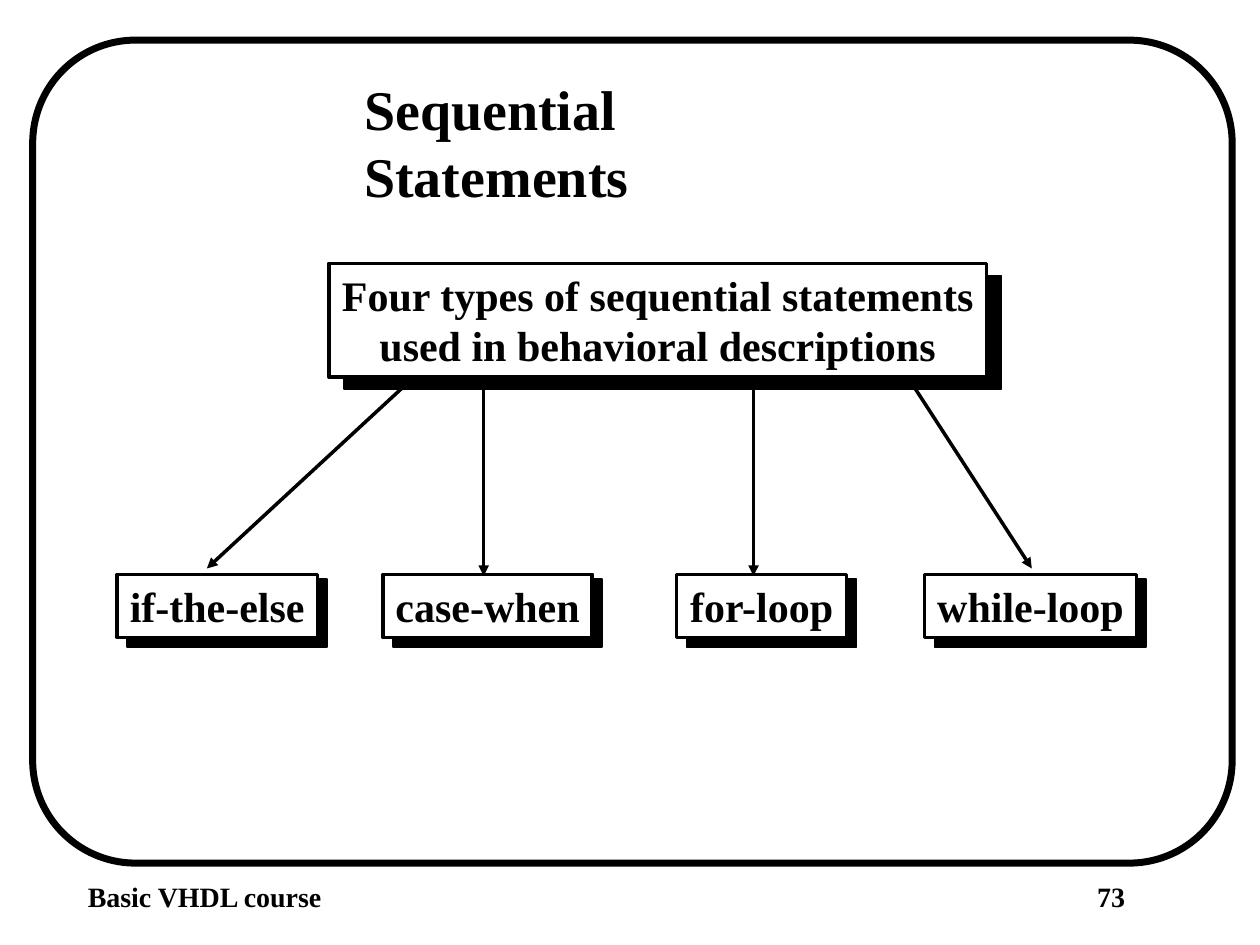
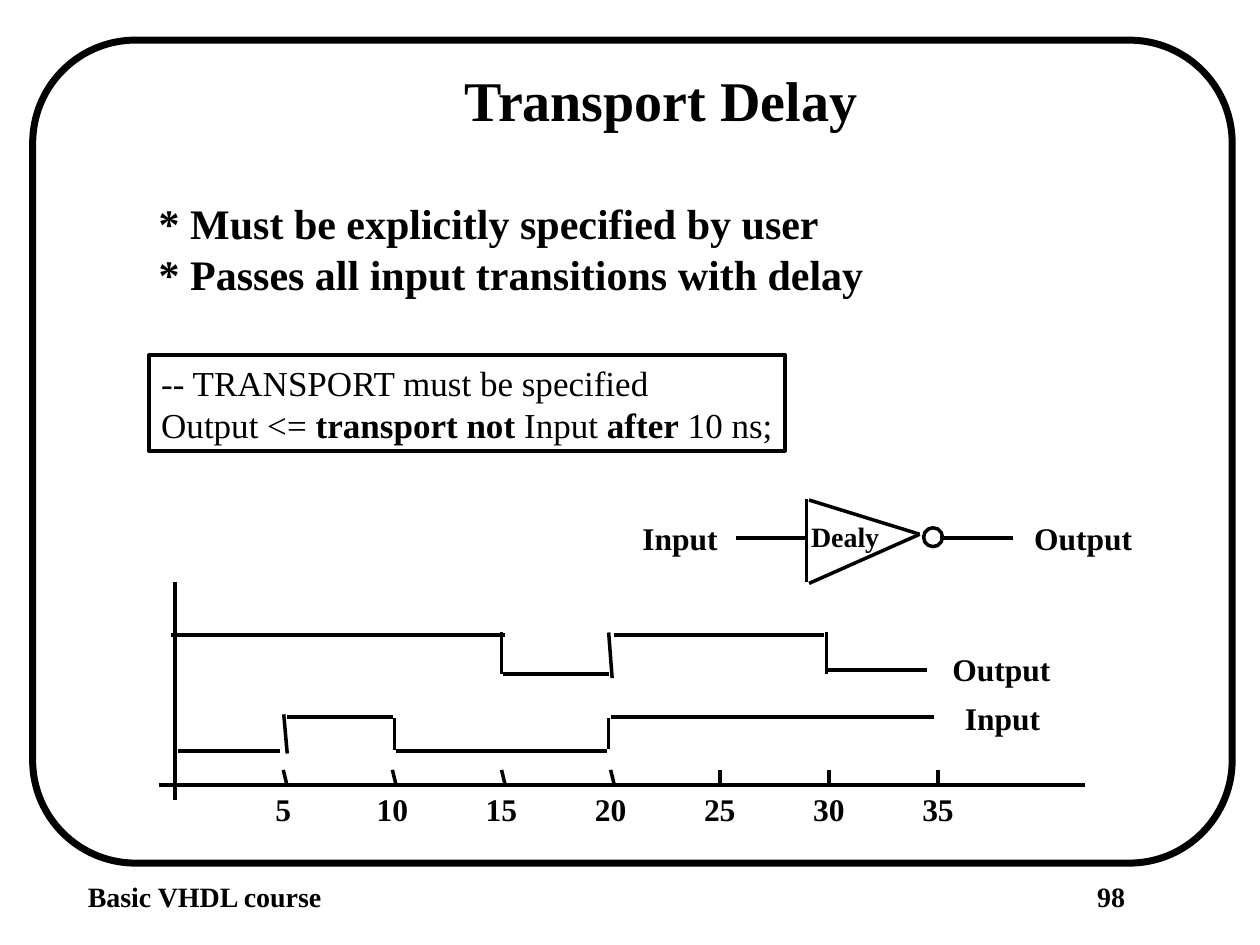
from lxml import etree
from pptx import Presentation
from pptx.dml.color import RGBColor
from pptx.enum.shapes import MSO_CONNECTOR as CONN, MSO_SHAPE as SHAPE
from pptx.enum.text import MSO_ANCHOR as ANCHOR, MSO_AUTO_SIZE as FIT, PP_ALIGN as ALIGN
from pptx.oxml.ns import qn
from pptx.util import Cm, Pt

BLACK, WHITE = "000000", "FFFFFF"
FONT = "Times New Roman"
LABEL_H = 1.02


def rgb(value):
    return RGBColor.from_string(value)


class Deck:
    """Shared style and the slide being drawn; all positions are in cm."""

    def __init__(self):
        self.prs = Presentation()
        self.prs.slide_width, self.prs.slide_height = Cm(25.4), Cm(19.05)
        self.s = None

    def new_slide(self, title, title_box, number):
        self.s = self.prs.slides.add_slide(self.prs.slide_layouts[6])
        frame = self.shape(SHAPE.ROUNDED_RECTANGLE, 0.66, 0.81, 24.18, 16.59, width=4)
        frame.adjustments[0] = 0.125
        self.text(number, 21.87, 17.6, 3.05, 0.91, size=16)
        self.text("Basic VHDL course", 1.52, 17.6, 5.26, 0.91, size=16)
        self.text(title, *title_box, size=32)

    def shape(self, kind, x, y, w, h, fill=None, width=2):
        sp = self.s.shapes.add_shape(kind, Cm(x), Cm(y), Cm(w), Cm(h))
        sp.shadow.inherit = False
        if fill:
            sp.fill.solid()
            sp.fill.fore_color.rgb = rgb(fill)
        else:
            sp.fill.background()
        sp.line.color.rgb = rgb(BLACK)
        sp.line.width = Pt(width)
        return sp

    def fill_text(self, sp, lines, size, bold=True, align=ALIGN.LEFT):
        """Each line is a string or a list of (text, bold) runs."""
        tf = sp.text_frame
        layout = {"word_wrap": False, "auto_size": FIT.SHAPE_TO_FIT_TEXT,
                  "vertical_anchor": ANCHOR.TOP}
        for name, value in layout.items():
            setattr(tf, name, value)
        for i, line in enumerate(lines):
            p = tf.add_paragraph() if i else tf.paragraphs[0]
            p.alignment = align
            runs = [(line, bold)] if isinstance(line, str) else line
            for text, strong in runs:
                r = p.add_run()
                r.text = text
                for name, value in {"name": FONT, "size": Pt(size), "bold": strong}.items():
                    setattr(r.font, name, value)
                r.font.color.rgb = rgb(BLACK)

    def text(self, text, x, y, w, h, size=18, align=ALIGN.LEFT):
        sp = self.s.shapes.add_textbox(Cm(x), Cm(y), Cm(w), Cm(h))
        self.fill_text(sp, text.split("\n"), size, align=align)

    def shadow_box(self, lines, x, y, w, h, dx=0.2, dy=0.1, grow=0.1):
        self.shape(SHAPE.RECTANGLE, x + dx, y + dy, w, h + grow, BLACK, 1)
        sp = self.shape(SHAPE.RECTANGLE, x, y, w, h, WHITE)
        self.fill_text(sp, lines, 24, align=ALIGN.CENTER)

    def line(self, x1, y1, x2, y2, arrow=False):
        c = self.s.shapes.add_connector(CONN.STRAIGHT, Cm(x1), Cm(y1), Cm(x2), Cm(y2))
        c.line.color.rgb = rgb(BLACK)
        c.line.width = Pt(2)
        props = c._element.spPr
        if arrow:
            etree.SubElement(props.find(qn("a:ln")), qn("a:tailEnd"), type="triangle")
        etree.SubElement(props, qn("a:effectLst"))

    def lines(self, segments, arrow=False):
        for segment in segments:
            self.line(*segment, arrow=arrow)


def sequential_statements(deck):
    deck.new_slide("Sequential Statements", (7.09, 1.37, 11.2, 1.6), "73")

    # Root box and the four statement types
    deck.shadow_box(["Four types of sequential statements", "used in behavioral descriptions"],
                    6.63, 5.31, 13.26, 2.29, dx=0.3, dy=0.25, grow=0)
    statements = [("if-the-else", 2.36, 4.04), ("case-when", 7.72, 4.22),
                  ("for-loop", 13.64, 3.43), ("while-loop", 18.64, 4.27)]
    for name, x, w in statements:
        deck.shadow_box([name], x, 11.58, w, 1.27)

    # Arrows from the root to each type
    deck.lines([(8.13, 7.8, 4.17, 11.46), (9.75, 7.77, 9.75, 11.61),
                (15.19, 7.77, 15.19, 11.61), (18.44, 7.82, 20.8, 11.46)], arrow=True)


def transport_delay(deck):
    deck.new_slide("Transport Delay", (9.12, 1.19, 8.51, 1.6), "98")
    deck.text("* Must be explicitly specified by user\n* Passes all input transitions with delay",
              2.95, 3.86, 14.71, 2.29, size=24)

    # Code box
    code = deck.shape(SHAPE.RECTANGLE, 3, 7.16, 12.83, 1.93)
    deck.fill_text(code, ["-- TRANSPORT must be specified",
                          [("Output <= ", False), ("transport not", True), (" Input ", False),
                           ("after", True), (" 10 ns;", False)]], 20, bold=False)

    # Inverter with its wires
    deck.text("Dealy", 16.1, 10.34, 1.88, 0.91, size=16)
    deck.lines([(16.31, 10.08, 18.54, 10.77), (16.31, 11.76, 18.54, 10.77),
                (16.26, 10.06, 16.26, 11.73),
                (14.83, 10.85, 16.28, 10.85), (18.95, 10.85, 20.42, 10.85)])
    deck.shape(SHAPE.OVAL, 18.62, 10.64, 0.38, 0.38)

    # Signal names beside the gate and beside the waves
    for name, w, spots in [("Input", 2.03, [(12.7, 10.34), (19.2, 13.97)]),
                           ("Output", 2.49, [(20.6, 10.34), (18.95, 12.98)])]:
        for x, y in spots:
            deck.text(name, x, y, w, LABEL_H)

    # Time axis: a tick and a label every 5 ns, the early ticks leaning
    deck.lines([(3.53, 11.73, 3.53, 16.13), (3.2, 15.82, 21.87, 15.82)])
    for t in range(5, 36, 5):
        x = 3.51 + 0.44 * t
        lean = 0.08 if t <= 20 else 0
        deck.line(x, 15.52, x + lean, 15.85)
        deck.text(str(t), x - 0.57, 15.8, 1.14, LABEL_H, align=ALIGN.CENTER)

    # Output wave
    deck.lines([(3.45, 12.8, 10.19, 12.8), (10.11, 12.75, 10.11, 13.59),
                (10.13, 13.59, 12.27, 13.59), (12.34, 13.67, 12.27, 12.75),
                (12.37, 12.8, 16.61, 12.8), (16.66, 12.75, 16.66, 13.59),
                (16.69, 13.51, 18.69, 13.51)])

    # Input wave
    deck.lines([(3.58, 15.14, 5.64, 15.14), (5.79, 15.19, 5.72, 14.4),
                (5.79, 14.45, 7.92, 14.45), (7.95, 14.48, 7.95, 15.11),
                (7.98, 15.14, 12.24, 15.14), (12.27, 14.48, 12.27, 15.09),
                (12.32, 14.45, 18.82, 14.45)])


def main():
    deck = Deck()
    sequential_statements(deck)
    transport_delay(deck)
    deck.prs.save("out.pptx")


if __name__ == "__main__":
    main()
